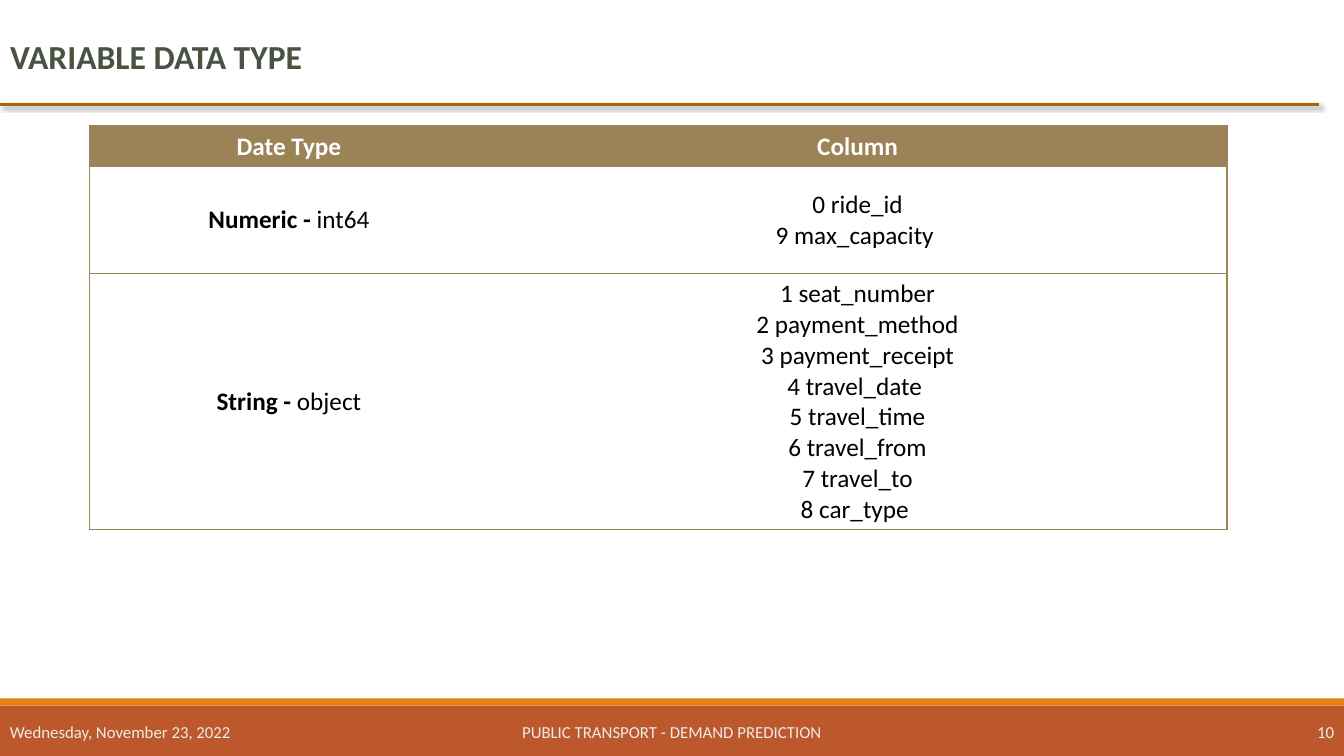
from lxml.etree import SubElement
from pptx import Presentation
from pptx.dml.color import RGBColor
from pptx.enum.shapes import MSO_CONNECTOR, MSO_SHAPE
from pptx.enum.text import MSO_ANCHOR, PP_ALIGN
from pptx.oxml import parse_xml
from pptx.oxml.ns import nsdecls, qn
from pptx.util import Inches, Pt

COLORS = {
    "band": "BD582C", "stripe": "E48312", "rule": "AB620D", "grid": "9B8357",
    "title": "4A5242", "footer": "EAECE7", "white": "FFFFFF", "ink": "000000",
}
ROWS = [
    (("Numeric - ", "int64"), ["0 ride_id", "9 max_capacity "]),
    (("String - ", "object"), [
        "1 seat_number", "2 payment_method", "3 payment_receipt", "4 travel_date ",
        "5 travel_time", "6 travel_from", "7 travel_to", "8 car_type "]),
]
FOOTERS = [
    ("Wednesday, November 23, 2022", 0, 2.7, PP_ALIGN.LEFT),
    ("PUBLIC TRANSPORT - DEMAND PREDICTION", 4.03, 5.27, PP_ALIGN.CENTER),
    ("10", 11.9, 1.43, PP_ALIGN.RIGHT),
]


def rgb(name):
    """Return the named colour."""
    return RGBColor.from_string(COLORS[name])


class SlideBuilder:
    """Draw styled elements on one slide."""

    def __init__(self, slide, font="Calibri"):
        self.slide = slide
        self.font = font

    def style(self, span, size, color, bold=False):
        """Format one run."""
        span.font.name = self.font
        span.font.size = Pt(size)
        span.font.bold = bold
        span.font.color.rgb = rgb(color)

    def set_lines(self, frame, lines, size, color, align, bold=False):
        """Fill a text frame with one paragraph per line."""
        frame.text = "\n".join(lines)
        for para in frame.paragraphs:
            para.alignment = align
            for span in para.runs:
                self.style(span, size, color, bold)

    def title(self, text, left, top, width, height):
        """Place the title placeholder."""
        box = self.slide.shapes.title
        box.left, box.top = Inches(left), Inches(top)
        box.width, box.height = Inches(width), Inches(height)
        box.text_frame.vertical_anchor = MSO_ANCHOR.TOP
        self.set_lines(box.text_frame, [text], 24, "title", PP_ALIGN.LEFT, True)

    def bar(self, top, height, color):
        """Draw a band across the slide."""
        box = self.slide.shapes.add_shape(
            MSO_SHAPE.RECTANGLE, 0, Inches(top), Inches(13.33), Inches(height))
        box.shadow.inherit = False
        box.fill.solid()
        box.fill.fore_color.rgb = rgb(color)
        box.line.fill.background()

    def rule(self, top, right):
        """Draw the shadowed line under the title."""
        line = self.slide.shapes.add_connector(
            MSO_CONNECTOR.STRAIGHT, 0, Inches(top), Inches(right), Inches(top))
        line.line.color.rgb = rgb("rule")
        line.line.width = Pt(2)
        line._element.spPr.append(parse_xml(
            f'<a:effectLst {nsdecls("a")}><a:outerShdw blurRad="{Pt(3)}" '
            f'dist="{Pt(2)}" dir="{45 * 60000}" algn="tl" rotWithShape="0">'
            f'<a:srgbClr val="{COLORS["ink"]}"><a:alpha val="60000"/></a:srgbClr>'
            '</a:outerShdw></a:effectLst>'))

    def label(self, text, left, width, align):
        """Add a footer text box."""
        box = self.slide.shapes.add_textbox(
            Inches(left), Inches(7.06), Inches(width), Inches(0.4))
        box.text_frame.word_wrap = True
        box.text_frame.vertical_anchor = MSO_ANCHOR.MIDDLE
        self.set_lines(box.text_frame, [text], 12, "footer", align)

    def borders(self, cell, hidden):
        """Outline a cell, leaving the hidden side without a line."""
        properties = cell._tc.get_or_add_tcPr()
        for side in ("lnL", "lnR", "lnT", "lnB"):
            line = SubElement(properties, qn(f"a:{side}"), w=str(Pt(1)))
            if side == hidden:
                SubElement(line, qn("a:noFill"))
            else:
                fill = SubElement(line, qn("a:solidFill"))
                SubElement(fill, qn("a:srgbClr"), val=COLORS["grid"])

    def table(self, headings, rows, widths, heights):
        """Add the table of data types and their columns."""
        table = self.slide.shapes.add_table(
            len(heights), len(widths), Inches(0.89), Inches(1.25),
            Inches(sum(widths)), Inches(sum(heights))).table
        table.horz_banding = False
        for column, width in zip(table.columns, widths):
            column.width = Inches(width)
        for row, height in zip(table.rows, heights):
            row.height = Inches(height)
            for cell, hidden in zip(row.cells, ("lnR", "lnL")):
                self.borders(cell, hidden)
                cell.fill.background()
                cell.vertical_anchor = MSO_ANCHOR.MIDDLE
        for cell, heading in zip(table.rows[0].cells, headings):
            cell.fill.solid()
            cell.fill.fore_color.rgb = rgb("grid")
            cell.vertical_anchor = MSO_ANCHOR.TOP
            self.set_lines(cell.text_frame, [heading], 18, "white", PP_ALIGN.CENTER, True)
        for index, ((kind, storage), names) in enumerate(rows, 1):
            frame = table.cell(index, 0).text_frame
            self.set_lines(frame, [kind], 18, "ink", PP_ALIGN.CENTER, True)
            span = frame.paragraphs[0].add_run()
            span.text = storage
            self.style(span, 18, "ink")
            self.set_lines(table.cell(index, 1).text_frame, names, 18, "ink", PP_ALIGN.CENTER)


def main():
    """Build and save the deck."""
    deck = Presentation()
    deck.slide_width, deck.slide_height = Inches(13.33), Inches(7.5)
    page = SlideBuilder(deck.slides.add_slide(deck.slide_layouts[5]))
    page.bar(7, 0.5, "band")
    page.bar(6.93, 0.07, "stripe")
    page.rule(1.04, 13.08)
    page.table(["Date Type", "Column"], ROWS, [3.95, 7.33], [0.4, 1.06, 2.54])
    for footer in FOOTERS:
        page.label(*footer)
    page.title("VARIABLE DATA TYPE", 0, 0.31, 4.49, 0.5)
    deck.save("out.pptx")


if __name__ == "__main__":
    main()
